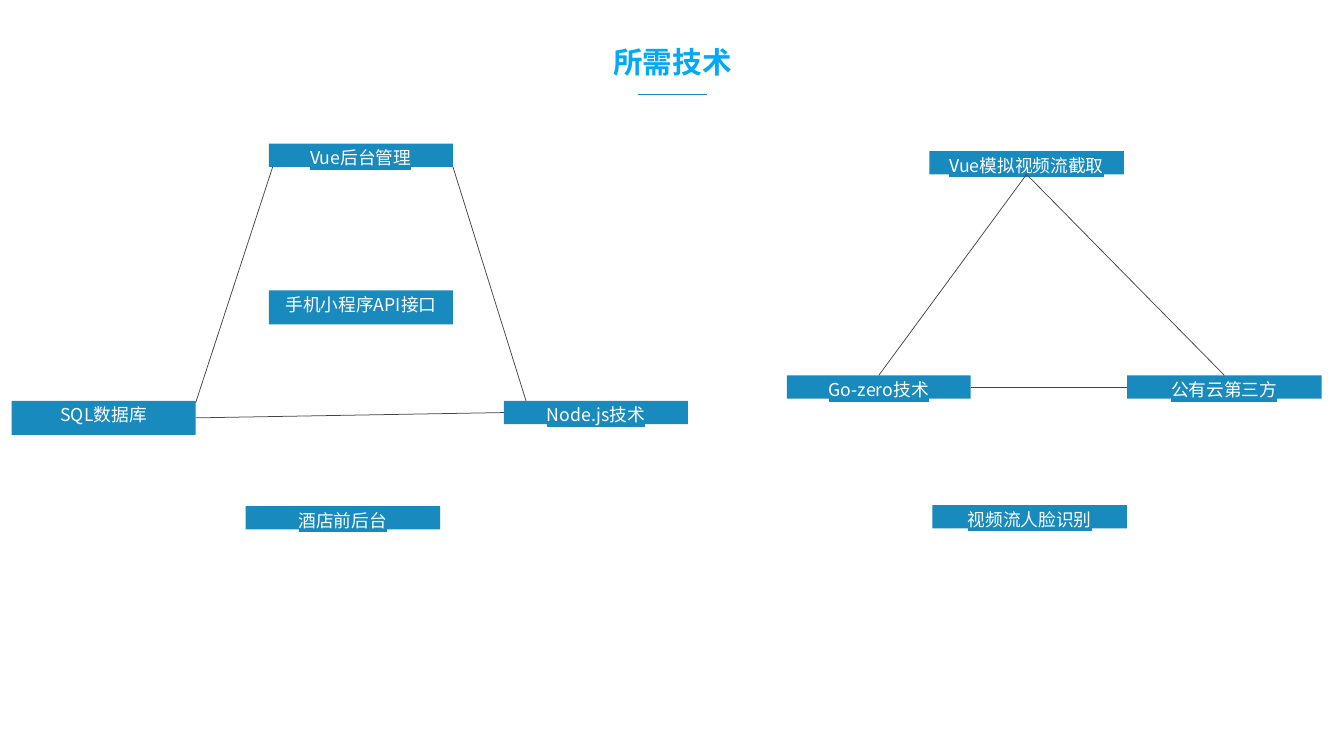
"""Build the slide that shows the technologies needed by the two project parts."""
from dataclasses import dataclass

from lxml import etree
from pptx import Presentation
from pptx.dml.color import RGBColor
from pptx.enum.shapes import MSO_CONNECTOR, MSO_SHAPE
from pptx.enum.text import MSO_ANCHOR, PP_ALIGN
from pptx.oxml.ns import qn
from pptx.util import Inches, Pt

RECTANGLE = MSO_SHAPE.RECTANGLE
STRAIGHT = MSO_CONNECTOR.STRAIGHT
TOP = MSO_ANCHOR.TOP
CENTER = PP_ALIGN.CENTER

COLORS = {"title": "03A9F4", "label": "198ABD", "edge": "42464B", "text": "FFFFFF"}
FONT = "Noto Sans CJK SC"
CELL = 0.1
COLUMNS, ROWS = 126.4, 71.1
NARROW, WIDE = 17.3, 18.3
LOW, TALL = 2.2, 3.2
LINE_SPACING = 1.16


@dataclass(frozen=True)
class Label:
    text: str
    column: float
    row: float
    columns: float = NARROW
    rows: float = LOW

    def point(self, across: float, down: float) -> tuple[float, float]:
        return self.column + across * self.columns, self.row + down * self.rows


@dataclass(frozen=True)
class Edge:
    start: tuple[float, float]
    end: tuple[float, float]
    color: str = "edge"


ADMIN = Label("Vue后台管理", 25.3, 13.5)
API = Label("手机小程序API接口", 25.3, 27.3, rows=TALL)
DATABASE = Label("SQL数据库", 1.1, 37.7, rows=TALL)
SERVER = Label("Node.js技术", 47.4, 37.7)
HOTEL = Label("酒店前后台", 23.1, 47.6, WIDE)
CAPTURE = Label("Vue模拟视频流截取", 87.4, 14.2, WIDE)
BACKEND = Label("Go-zero技术", 74, 35.3)
CLOUD = Label("公有云第三方", 106, 35.3, WIDE)
RECOGNITION = Label("视频流人脸识别", 87.7, 47.5, WIDE)
TITLE = Label("所需技术", 42.4, 3.6, 41.7, 5.4)

LABELS = [ADMIN, API, DATABASE, SERVER, HOTEL, CAPTURE, BACKEND, CLOUD, RECOGNITION]
EDGES = [
    Edge((60, 8.9), (66.5, 8.9), "label"),
    Edge(ADMIN.point(0.02, 1), DATABASE.point(1, 0.06)),
    Edge(ADMIN.point(1, 1), SERVER.point(0.12, 0)),
    Edge(DATABASE.point(1, 0.5), SERVER.point(0, 0.5)),
    Edge(CAPTURE.point(0.5, 1), BACKEND.point(0.5, 0)),
    Edge(CAPTURE.point(0.5, 1), CLOUD.point(0.5, 0)),
    Edge(CLOUD.point(0, 0.5), BACKEND.point(1, 0.5)),
]


def grid(cells: float) -> int:
    return Inches(cells * CELL)


def rgb(name: str) -> RGBColor:
    return RGBColor.from_string(COLORS[name])


def write(frame, text: str, size: float, color: str, bold: bool = False, highlight: str = "") -> None:
    frame.word_wrap = True
    frame.vertical_anchor = TOP
    frame.margin_left = frame.margin_right = frame.margin_top = frame.margin_bottom = 0
    paragraph = frame.paragraphs[0]
    paragraph.alignment = CENTER
    paragraph.line_spacing = LINE_SPACING
    font = paragraph.font
    font.name, font.size, font.bold = FONT, Pt(size), bold
    font.color.rgb = rgb(color)
    run = paragraph.add_run()
    run.text = text
    properties = run._r.get_or_add_rPr()
    if highlight:
        marker = etree.SubElement(properties, qn("a:highlight"))
        etree.SubElement(marker, qn("a:srgbClr"), val=COLORS[highlight])
    etree.SubElement(properties, qn("a:ea"), typeface=FONT)


def draw_title(slide, title: Label) -> None:
    heading = slide.shapes.add_textbox(
        grid(title.column), grid(title.row), grid(title.columns), grid(title.rows))
    write(heading.text_frame, title.text, 20, "title", bold=True)


def draw_label(slide, label: Label) -> None:
    plate = slide.shapes.add_shape(
        RECTANGLE, grid(label.column), grid(label.row), grid(label.columns), grid(label.rows))
    plate.shadow.inherit = False
    plate.fill.solid()
    plate.fill.fore_color.rgb = rgb("label")
    plate.line.fill.background()
    write(plate.text_frame, label.text, 12, "text", highlight="label")


def draw_edge(slide, edge: Edge) -> None:
    link = slide.shapes.add_connector(STRAIGHT, *map(grid, edge.start + edge.end))
    link.line.color.rgb = rgb(edge.color)
    link.line.width = Pt(0.5)
    etree.SubElement(link._element.spPr, qn("a:effectLst"))


def main() -> None:
    deck = Presentation()
    deck.slide_width, deck.slide_height = grid(COLUMNS), grid(ROWS)
    slide = deck.slides.add_slide(deck.slide_layouts[6])
    draw_title(slide, TITLE)
    for label in LABELS:
        draw_label(slide, label)
    for edge in EDGES:
        draw_edge(slide, edge)
    deck.save("out.pptx")


if __name__ == "__main__":
    main()
